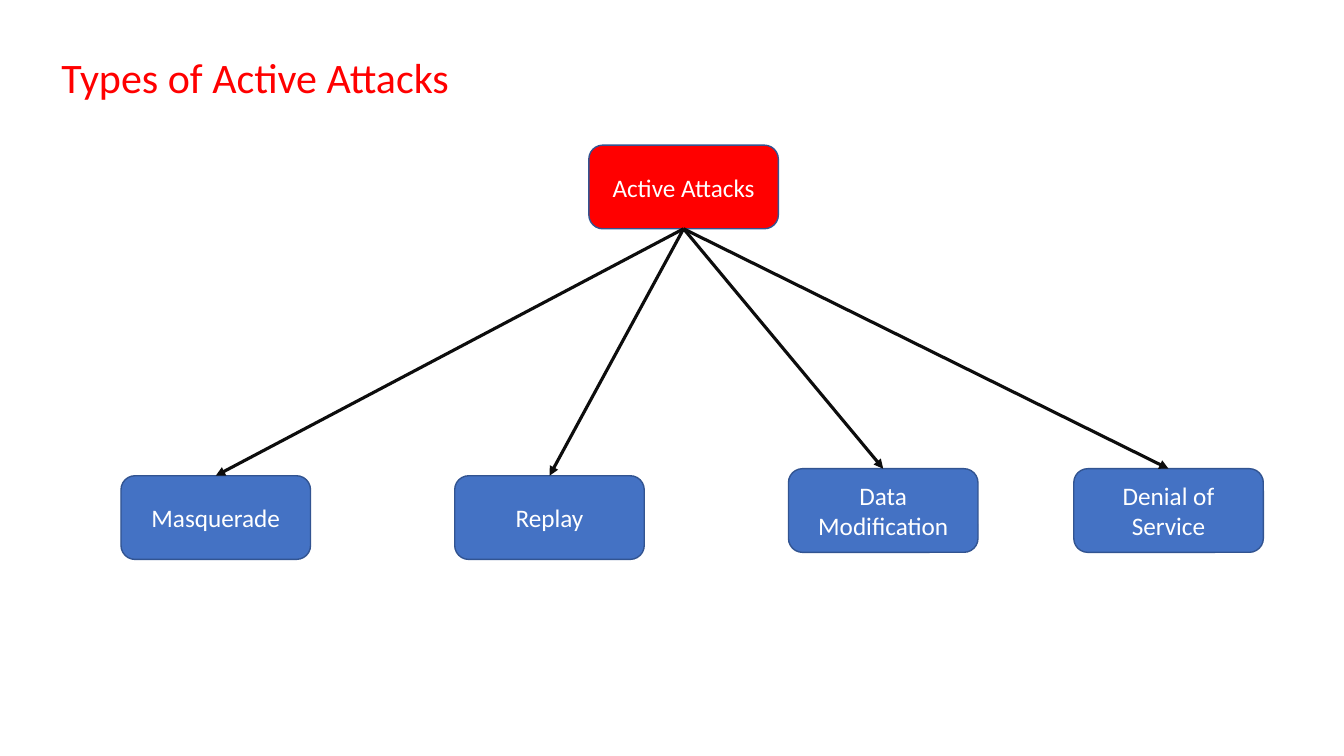
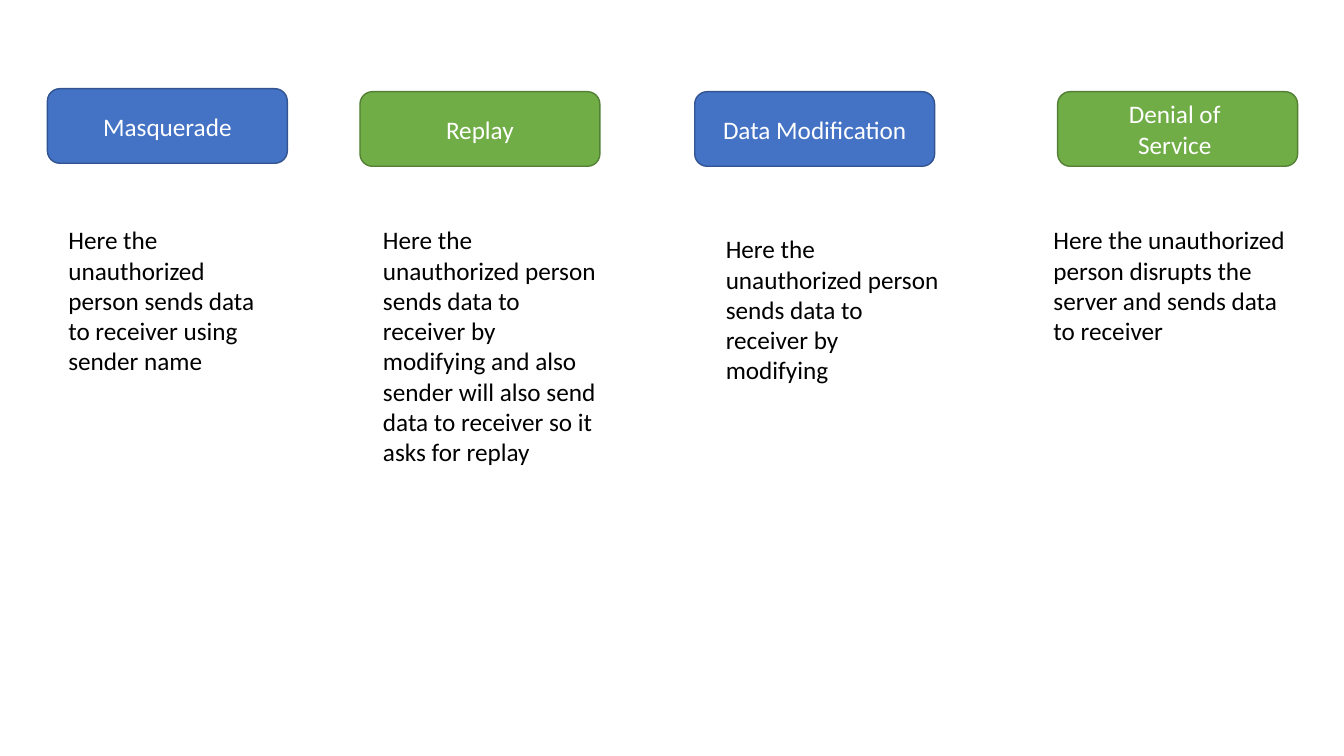
"""Build two slides on the types of active attacks."""
from dataclasses import dataclass
from typing import NamedTuple

from pptx import Presentation
from pptx.dml.color import RGBColor as Rgb
from pptx.enum.shapes import MSO_CONNECTOR as Link, MSO_SHAPE as Form
from pptx.enum.text import MSO_ANCHOR as Anchor, MSO_AUTO_SIZE as Fit, PP_ALIGN as Align
from pptx.oxml.ns import qn
from pptx.shapes.autoshape import Shape
from pptx.slide import Slide
from pptx.text.text import TextFrame
from pptx.util import Inches, Pt
from lxml.etree import SubElement


class Tone(NamedTuple):
    fill: str
    edge: str


@dataclass(frozen=True)
class Theme:
    font: str = "Calibri"
    head: int = 30
    body: int = 18
    red: Tone = Tone("FF0000", "325491")
    blue: Tone = Tone("4472C4", "325491")
    green: Tone = Tone("70AD47", "538035")
    white: str = "FFFFFF"
    black: str = "000000"
    arrow: str = "0D0D0D"
    edge: float = 1
    stroke: float = 2.25


class Box(NamedTuple):
    left: float
    top: float
    width: float
    height: float


class Node(NamedTuple):
    text: str
    box: Box
    tone: Tone


class Note(NamedTuple):
    text: str
    box: Box


THEME = Theme()
WIDE, HIGH = 1.88, 0.83
CARD, TALL = 2.38, 0.74
ROOT = Node("Active Attacks", Box(5.84, 1.44, WIDE, HIGH), THEME.red)
LEAVES = [
    Node(text, Box(left, top, WIDE, HIGH), THEME.blue)
    for text, left, top in [
        ("Masquerade", 1.2, 4.72),
        ("Replay", 4.51, 4.72),
        ("Data\nModification", 7.82, 4.65),
        ("Denial of\nService", 10.65, 4.65),
    ]
]
CARDS = [
    Node(text, Box(left, top, CARD, TALL), tone)
    for text, left, top, tone in [
        ("Masquerade", 0.47, 0.88, THEME.blue),
        ("Replay", 3.57, 0.91, THEME.green),
        ("Data Modification", 6.89, 0.91, THEME.blue),
        ("Denial of \nService ", 10.49, 0.91, THEME.green),
    ]
]
NOTES = [
    Note("Here the unauthorized person sends data to receiver using sender name",
         Box(0.58, 2.18, 2.1, 1.62)),
    Note("Here the unauthorized person sends data to receiver by modifying and also "
         "sender will also send data to receiver so it asks for replay",
         Box(3.7, 2.18, 2.38, 2.52)),
    Note("Here the unauthorized person sends data to receiver by modifying",
         Box(7.1, 2.27, 2.38, 1.62)),
    Note("Here the unauthorized person disrupts the server and sends data to receiver",
         Box(10.35, 2.18, 2.68, 1.31)),
]


def place(box: Box) -> list[int]:
    return [Inches(side) for side in box]


def write(frame: TextFrame, text: str, *, size: int = THEME.body,
          color: str = THEME.black, align: Align = Align.LEFT,
          anchor: Anchor = Anchor.TOP, fit: Fit = Fit.NONE) -> None:
    frame.word_wrap = True
    frame.auto_size = fit
    frame.vertical_anchor = anchor
    frame.text = text
    for para in frame.paragraphs:
        para.alignment = align
        for run in para.runs:
            run.font.name = THEME.font
            run.font.size = Pt(size)
            run.font.color.rgb = Rgb.from_string(color)


def title(slide: Slide, text: str, box: Box) -> None:
    shape = slide.shapes.title
    shape.left, shape.top, shape.width, shape.height = place(box)
    write(shape.text_frame, text, size=THEME.head, color=THEME.red.fill,
          fit=Fit.SHAPE_TO_FIT_TEXT)


def draw(slide: Slide, node: Node) -> Shape:
    shape = slide.shapes.add_shape(Form.FLOWCHART_ALTERNATE_PROCESS, *place(node.box))
    shape.shadow.inherit = False
    shape.fill.solid()
    shape.fill.fore_color.rgb = Rgb.from_string(node.tone.fill)
    shape.line.color.rgb = Rgb.from_string(node.tone.edge)
    shape.line.width = Pt(THEME.edge)
    write(shape.text_frame, node.text, color=THEME.white, align=Align.CENTER,
          anchor=Anchor.MIDDLE)
    return shape


def join(slide: Slide, start: Shape, end: Shape) -> None:
    line = slide.shapes.add_connector(Link.STRAIGHT, 0, 0, 0, 0)
    line.begin_connect(start, 2)
    line.end_connect(end, 0)
    line.line.color.rgb = Rgb.from_string(THEME.arrow)
    line.line.width = Pt(THEME.stroke)
    props = line.element.spPr
    SubElement(props.find(qn("a:ln")), qn("a:tailEnd"), type="triangle")
    SubElement(props, qn("a:effectLst"))


def note(slide: Slide, item: Note) -> None:
    shape = slide.shapes.add_textbox(*place(item.box))
    write(shape.text_frame, item.text, fit=Fit.SHAPE_TO_FIT_TEXT)


def main() -> None:
    deck = Presentation()
    deck.slide_width, deck.slide_height = Inches(13.33), Inches(7.5)

    tree = deck.slides.add_slide(deck.slide_layouts.get_by_name("Title Only"))
    title(tree, "Types of Active Attacks", Box(0.51, 0.46, 4.68, 0.61))
    root = draw(tree, ROOT)
    leaves = [draw(tree, leaf) for leaf in LEAVES]
    for leaf in leaves:
        join(tree, root, leaf)

    cards = deck.slides.add_slide(deck.slide_layouts.get_by_name("Blank"))
    for card in CARDS:
        draw(cards, card)
    for item in NOTES:
        note(cards, item)

    deck.save("out.pptx")


if __name__ == "__main__":
    main()
